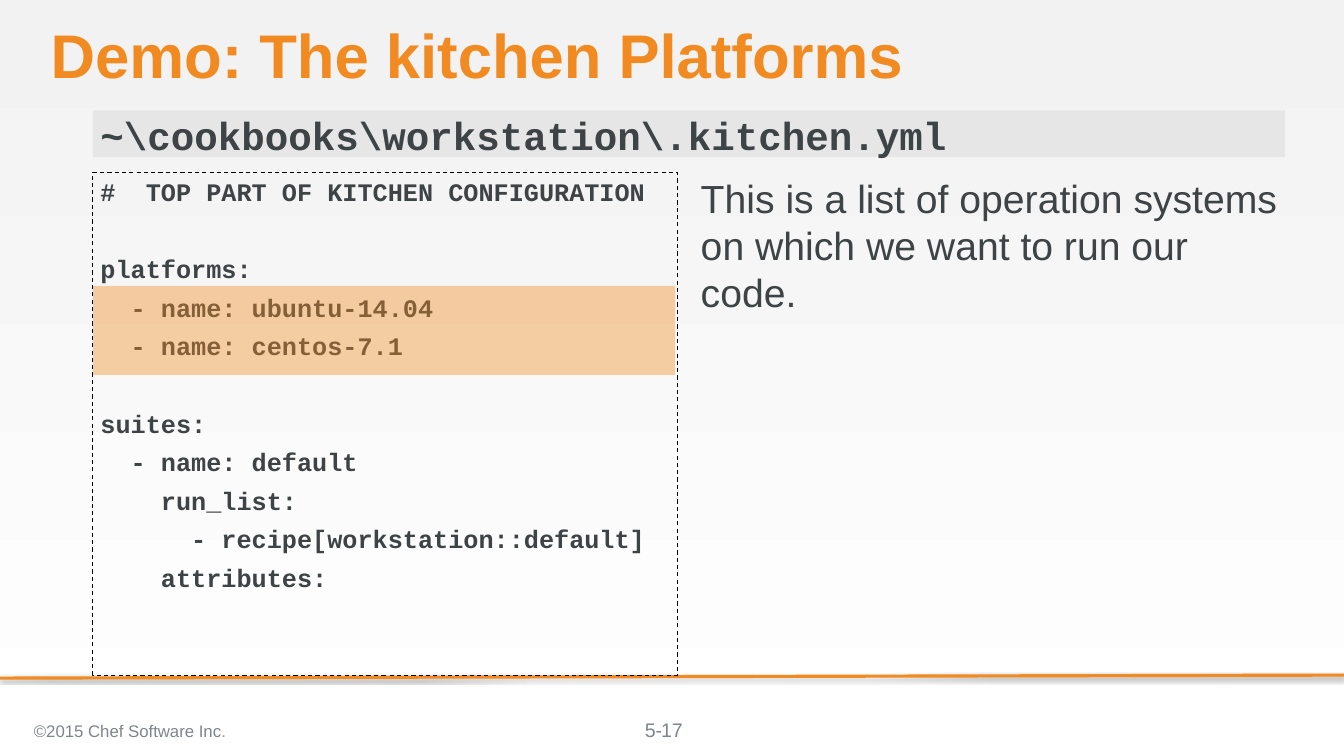
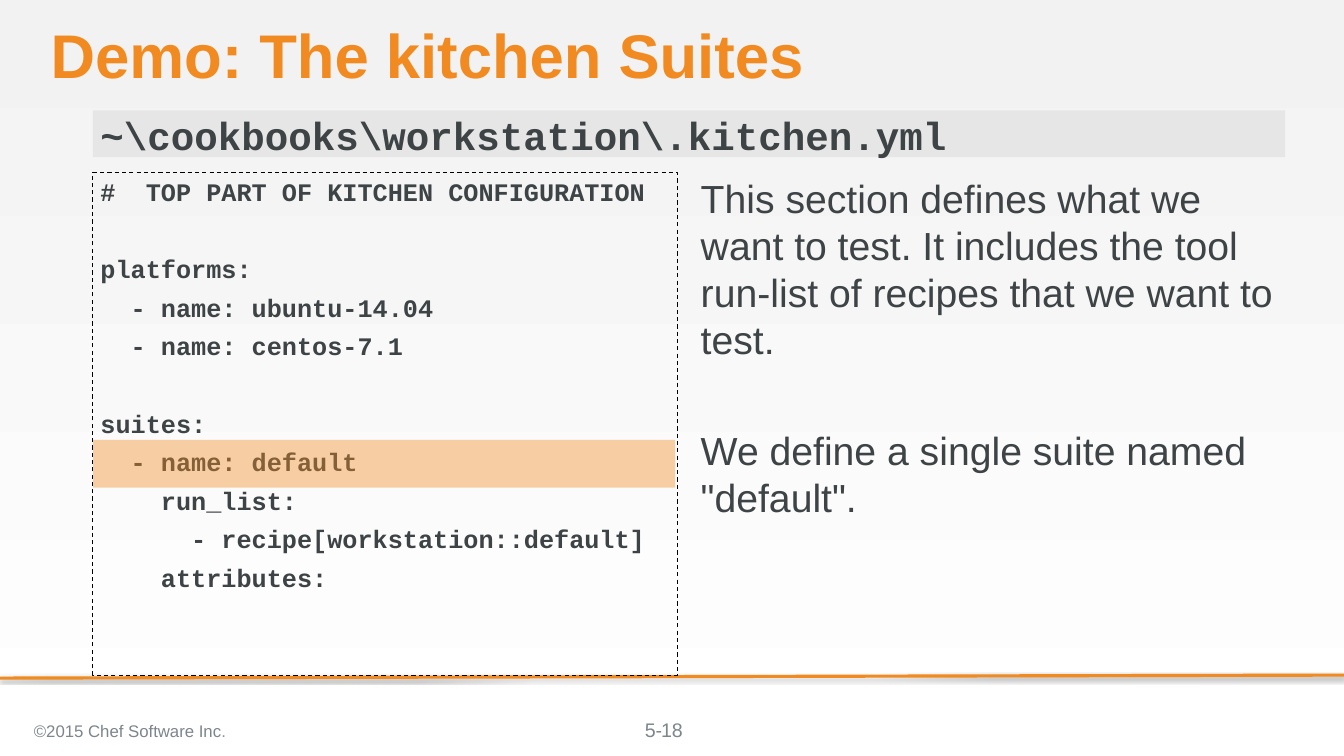
import pptx
import pptx.dml.color
import pptx.enum.dml
import pptx.enum.shapes
import pptx.enum.text
import pptx.oxml
import pptx.oxml.ns
import pptx.util

Pt = pptx.util.Pt
RGBColor = pptx.dml.color.RGBColor
ANCHOR = pptx.enum.text.MSO_ANCHOR
ALIGN = pptx.enum.text.PP_ALIGN

WIDTH, HEIGHT = pptx.util.Inches(17.78), pptx.util.Inches(10)
COLUMN, ROW = WIDTH / 100, HEIGHT / 100

ORANGE = RGBColor(0xF1, 0x8B, 0x21)
INK = RGBColor(0x3E, 0x43, 0x46)
FOOTER_GREY = RGBColor(0x7D, 0x86, 0x8C)
STOP_GREY = RGBColor(0x92, 0x94, 0x94)
BAR_GREY = RGBColor(0xD9, 0xD9, 0xD9)
BACK_TOP = RGBColor(0xF2, 0xF2, 0xF2)
WHITE = RGBColor(0xFF, 0xFF, 0xFF)
BLACK = RGBColor(0, 0, 0)

TITLE = {"name": "Arial", "size": Pt(58.7), "bold": True, "color": ORANGE}
FILE_NAME = {"name": "Courier New", "size": Pt(37.3), "bold": True, "color": INK}
CODE = {"name": "Courier New", "size": Pt(24), "bold": True, "color": INK}
REMARK = {"name": "Arial", "size": Pt(37.3), "bold": False, "color": INK}
COPYRIGHT = {"name": "Arial", "size": Pt(16), "bold": False, "color": FOOTER_GREY}
FULL_STOP = {**COPYRIGHT, "color": STOP_GREY}
PAGE = {**COPYRIGHT, "size": Pt(18.7)}

LEFT, PANEL_WIDTH = 6.92, 43.48
PADDING = (0.1, 0.05, 0.1, 0.05)
PARAGRAPH_GAP = Pt(8)
LINE_SHARE = 1.2

KITCHEN_CODE = [
    ["#  TOP PART OF KITCHEN CONFIGURATION"],
    ["platforms:", "  - name: ubuntu-14.04", "  - name: centos-7.1"],
    ["suites:", "  - name: default", "    run_list:",
     "      - recipe[workstation::default]", "    attributes:"],
]

DEMOS = [
    {
        "title": "Demo: The kitchen Platforms",
        "remarks": [["This is a list of operation systems on which we want to run our code."]],
        "highlight": (37.8, 11.8),
        "page": "17",
    },
    {
        "title": "Demo: The kitchen Suites",
        "remarks": [
            ["This section defines what we want to test. It includes the tool "
             "run-list of recipes that we want to test."],
            ['We define a single suite named "default".'],
        ],
        "highlight": (58.2, 6.3),
        "page": "18",
    },
]


def grid(left, top, width, height):
    return [round(n) for n in (left * COLUMN, top * ROW, width * COLUMN, height * ROW)]


def apply(target, values):
    for key, value in values.items():
        setattr(target, key, value)


def add_run(paragraph, text, style):
    run = paragraph.add_run()
    run.text = text
    for key, value in style.items():
        if key == "color":
            run.font.color.rgb = value
        else:
            setattr(run.font, key, value)


def set_frame(frame, anchor=ANCHOR.TOP, insets=(0, 0, 0, 0)):
    left, top, right, bottom = [pptx.util.Inches(inset) for inset in insets]
    apply(frame, {
        "word_wrap": True,
        "auto_size": pptx.enum.text.MSO_AUTO_SIZE.NONE,
        "vertical_anchor": anchor,
        "margin_left": left,
        "margin_top": top,
        "margin_right": right,
        "margin_bottom": bottom,
    })


def write_line(frame, text, style, align=ALIGN.LEFT, spacing=1.0):
    paragraph = frame.paragraphs[0]
    apply(paragraph, {"alignment": align, "line_spacing": spacing, "space_before": Pt(0)})
    add_run(paragraph, text, style)
    return paragraph


def write_blocks(frame, blocks, style):
    line_height = round(style["size"] * LINE_SHARE)
    for block_number, block in enumerate(blocks):
        for line_number, text in enumerate(block):
            if block_number == line_number == 0:
                paragraph, before = frame.paragraphs[0], 0
            else:
                paragraph, before = frame.add_paragraph(), PARAGRAPH_GAP
                if line_number == 0:
                    before = 2 * PARAGRAPH_GAP + line_height
            apply(paragraph, {
                "alignment": ALIGN.LEFT,
                "line_spacing": pptx.util.Emu(line_height),
                "space_before": pptx.util.Emu(before),
            })
            add_run(paragraph, text, style)


def add_text(slide, place, anchor=ANCHOR.TOP, insets=(0, 0, 0, 0)):
    frame = slide.shapes.add_textbox(*grid(*place)).text_frame
    set_frame(frame, anchor, insets)
    return frame


def add_panel(slide, place, fill=None, opacity=100):
    panel = slide.shapes.add_shape(pptx.enum.shapes.MSO_SHAPE.RECTANGLE, *grid(*place))
    panel.shadow.inherit = False
    panel.line.fill.background()
    if fill is None:
        panel.fill.background()
    else:
        panel.fill.solid()
        panel.fill.fore_color.rgb = fill
        color = panel.fill._xPr.find(".//" + pptx.oxml.ns.qn("a:srgbClr"))
        color.append(pptx.oxml.parse_xml(
            f'<a:alpha {pptx.oxml.ns.nsdecls("a")} val="{opacity * 1000}"/>'))
    return panel


def add_title(slide, text):
    title = slide.shapes.title
    left, top, width, height = grid(3.77, 3.2, 91.85, 9.1)
    apply(title, {"left": left, "top": top, "width": width, "height": height})
    set_frame(title.text_frame, ANCHOR.MIDDLE)
    write_line(title.text_frame, text, TITLE, spacing=0.9)


def add_footer_rule(slide):
    right, right_y, left, left_y = grid(100, 89.3, 0, 89.7)
    rule = slide.shapes.add_connector(
        pptx.enum.shapes.MSO_CONNECTOR.STRAIGHT, right, right_y, left, left_y)
    rule.line.color.rgb = ORANGE
    rule.line.width = Pt(3)
    rule._element.spPr.append(pptx.oxml.parse_xml(
        f'<a:effectLst {pptx.oxml.ns.nsdecls("a")}>'
        f'<a:outerShdw blurRad="{Pt(3.1)}" dist="{Pt(1.8)}" dir="5400000" rotWithShape="0">'
        '<a:srgbClr val="000000"><a:alpha val="35000"/></a:srgbClr>'
        '</a:outerShdw></a:effectLst>'))


def add_footer(slide, page):
    write_line(add_text(slide, (47.98, 94.9, 4.5, 3.1)), "5-", PAGE)
    notice = add_text(slide, (1.97, 93.9, 34.93, 5.6), ANCHOR.MIDDLE, PADDING)
    add_run(write_line(notice, "©2015 Chef Software Inc", COPYRIGHT), ".", FULL_STOP)
    number = add_text(slide, (38.75, 93.9, 22.5, 5.3), ANCHOR.MIDDLE, PADDING)
    write_line(number, page, PAGE, ALIGN.CENTER)


def add_code_panel(slide):
    listing = add_panel(slide, (LEFT, 22.8, PANEL_WIDTH, 66.5))
    listing.line.color.rgb = BLACK
    apply(listing.line, {"width": Pt(1), "dash_style": pptx.enum.dml.MSO_LINE.DASH})
    set_frame(listing.text_frame, insets=PADDING)
    write_blocks(listing.text_frame, KITCHEN_CODE, CODE)


def add_file_bar(slide):
    bar = add_panel(slide, (LEFT, 14.6, 88.7, 6.2), BAR_GREY, 50)
    set_frame(bar.text_frame, ANCHOR.MIDDLE, (0.1, 0, 0, 0.1))
    write_line(bar.text_frame, "~\\cookbooks\\workstation\\.kitchen.yml", FILE_NAME,
               spacing=LINE_SHARE)


def set_background(master):
    fill = master.background.fill
    fill.gradient()
    fill.gradient_angle = 270
    for stop, color in zip(fill.gradient_stops, (BACK_TOP, WHITE)):
        stop.color.rgb = color


def add_demo(deck, demo):
    slide = deck.slides.add_slide(deck.slide_layouts.get_by_name("Title Only"))
    add_footer_rule(slide)
    add_title(slide, demo["title"])
    add_code_panel(slide)
    add_file_bar(slide)
    remarks = add_text(slide, (52.14, 23.1, PANEL_WIDTH, 65.1))
    write_blocks(remarks, demo["remarks"], REMARK)
    top, height = demo["highlight"]
    add_panel(slide, (LEFT, top, 43.31, height), ORANGE, 40)
    add_footer(slide, demo["page"])


def main():
    deck = pptx.Presentation()
    apply(deck, {"slide_width": WIDTH, "slide_height": HEIGHT})
    set_background(deck.slide_master)
    for demo in DEMOS:
        add_demo(deck, demo)
    deck.save("out.pptx")


if __name__ == "__main__":
    main()
